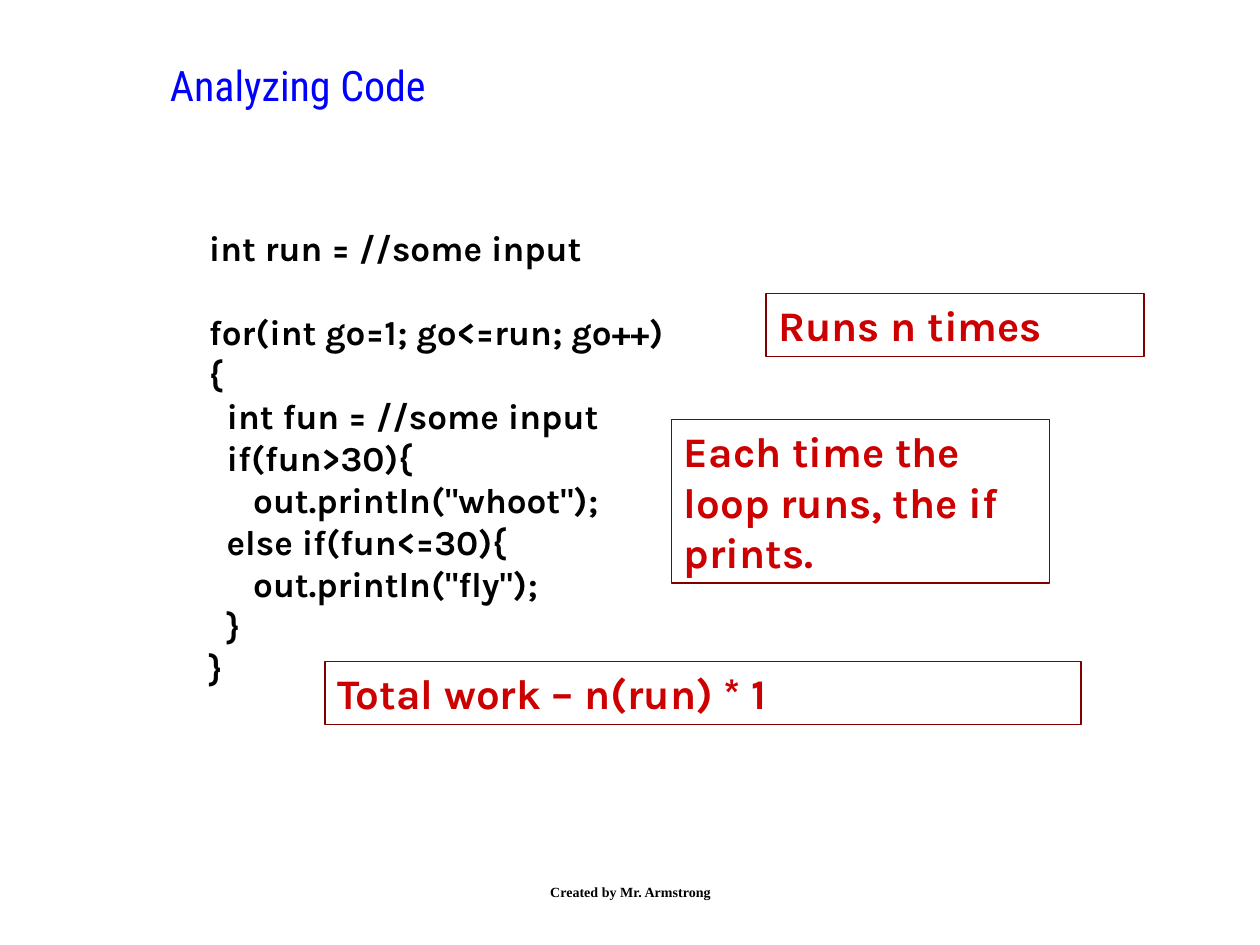
from pptx import Presentation
from pptx.dml.color import RGBColor
from pptx.enum.text import MSO_ANCHOR, PP_ALIGN
from pptx.util import Inches, Pt

BLACK = RGBColor(0x00, 0x00, 0x00)
BLUE = RGBColor(0x00, 0x00, 0xFF)
RED = RGBColor(0xCC, 0x00, 0x00)
MAROON = RGBColor(0x80, 0x00, 0x00)
CENTER = PP_ALIGN.CENTER
TOP, MIDDLE = MSO_ANCHOR.TOP, MSO_ANCHOR.MIDDLE

CODE_LINES = [
    "int run = //some input",
    "for(int go=1; go<=run; go++)",
    "{",
    "  int fun = //some input",
    "  if(fun>30){",
    '     out.println("whoot");',
    "  else if(fun<=30){",
    '     out.println("fly");',
    "  }",
    "}",
]
LOOP_LINE = 1

NOTES = [
    ("Runs n times", (6.08, 2.33, 3, 0.5)),
    ("Each time the loop runs, the if prints.", (5.33, 3.33, 3, 1.3)),
    ("Total work – n(run) * 1", (2.58, 5.25, 6, 0.5)),
]


def add_text(page, bounds, lines, font_name, size, color, bold=True, wrap=True):
    """Place one paragraph per line in a text box and return the box."""
    box = page.shapes.add_textbox(*(Inches(length) for length in bounds))
    frame = box.text_frame
    frame.word_wrap = wrap
    frame.vertical_anchor = TOP
    frame.text = "\n".join(lines)
    for para in frame.paragraphs:
        para.font.name = font_name
        para.font.size = Pt(size)
        para.font.bold = bold
        para.font.color.rgb = color
    return box


def add_title(page, bounds):
    add_text(page, bounds, ["Analyzing Code"], "Roboto Condensed", 24, BLUE,
             bold=False, wrap=False)


def add_code(page, bounds):
    box = add_text(page, bounds, CODE_LINES, "Karla", 20, BLACK, wrap=False)
    # One line's height separates the declaration from the loop.
    box.text_frame.paragraphs[LOOP_LINE].space_before = Pt(24)


def add_note(page, bounds, text):
    box = add_text(page, bounds, [text], "Karla", 24, RED)
    box.line.color.rgb = MAROON
    box.line.width = Pt(1)


def add_footer(page, bounds):
    box = add_text(page, bounds, ["Created by Mr. Armstrong"],
                   "Times New Roman", 8, BLACK)
    box.text_frame.vertical_anchor = MIDDLE
    box.text_frame.paragraphs[0].alignment = CENTER


def main():
    deck = Presentation()
    deck.slide_width, deck.slide_height = Inches(10), Inches(7.5)
    page = deck.slides.add_slide(deck.slide_layouts[6])
    add_code(page, (1.56, 1.75, 4.05, 3.77))
    add_title(page, (1.25, 0.42, 7.08, 0.83))
    for text, bounds in NOTES:
        add_note(page, bounds, text)
    add_footer(page, (3.42, 6.83, 3.17, 0.5))
    deck.save("out.pptx")


if __name__ == "__main__":
    main()
